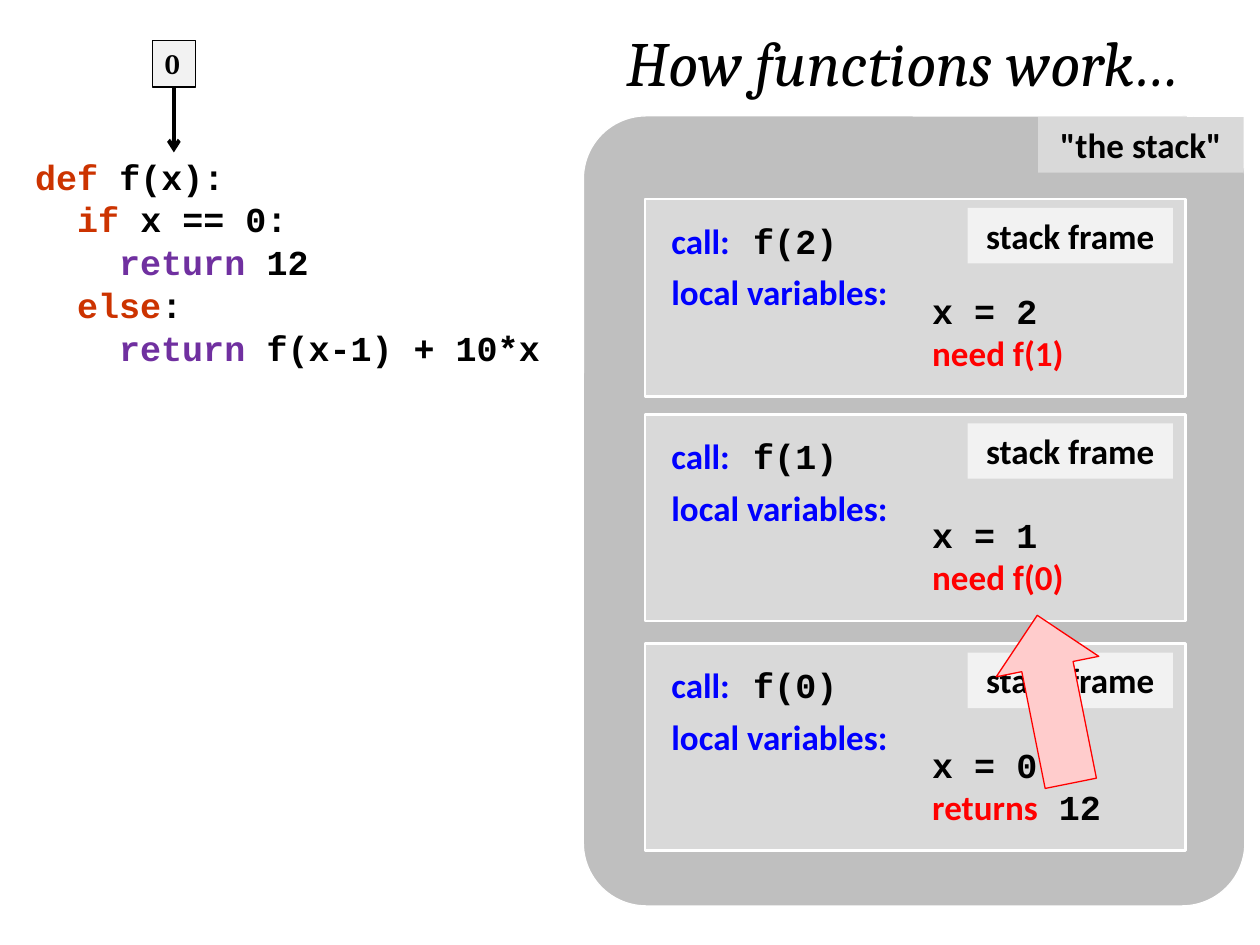
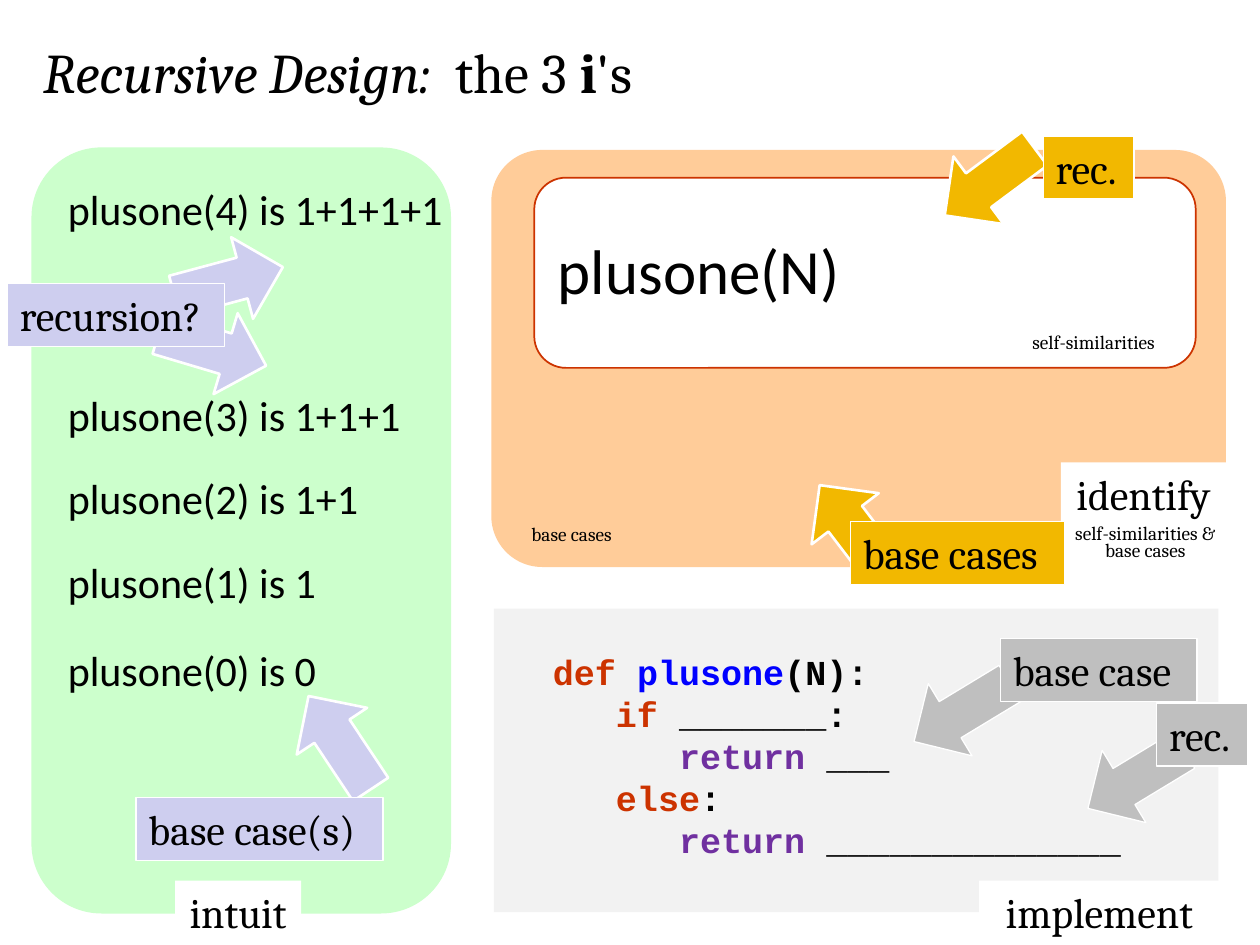
from lxml.etree import SubElement
from pptx import Presentation
from pptx.dml.color import RGBColor
from pptx.enum.shapes import MSO_CONNECTOR, MSO_SHAPE
from pptx.enum.text import MSO_ANCHOR, PP_ALIGN
from pptx.oxml.ns import qn
from pptx.util import Inches, Pt

BLACK, WHITE, BLUE, RED = "000000", "FFFFFF", "0000FF", "FF0000"
KEYWORD, RETURN = "CC3300", "7030A0"
PALE, LIGHT, GREY = "F2F2F2", "D9D9D9", "BFBFBF"
GREEN, LILAC, PEACH, GOLD, PINK = "CCFFCC", "CECEEF", "FFCC99", "F2B800", "FFCCCC"

TITLE = {"name": "Cambria", "size": Pt(36), "italic": True}
DESIGN = {**TITLE, "size": Pt(32)}
CODE = {"name": "Courier New", "size": Pt(20), "bold": True}
TAG = {"name": "Calibri", "size": Pt(20), "bold": True}
LABEL = {"name": "Cambria", "size": Pt(24)}
CAPTION = {"name": "Cambria", "size": Pt(11)}
EXAMPLE = {"name": "Calibri", "size": Pt(24)}
CENTER = {"alignment": PP_ALIGN.CENTER}
TIGHT = {"line_spacing": Pt(10)}


def rgb(value):
    return RGBColor.from_string(value)


def inches(box):
    return [Inches(v) for v in box]


def write(sp, lines, fmt, **para):
    """Fill a shape; a line is a string or a list of (text, colour[, changes])."""
    tf = sp.text_frame
    tf.word_wrap = True
    tf.vertical_anchor = MSO_ANCHOR.TOP
    for i, line in enumerate(lines):
        p = tf.paragraphs[0] if i == 0 else tf.add_paragraph()
        p.alignment = PP_ALIGN.LEFT
        for key, value in para.items():
            if i or key != "space_before":
                setattr(p, key, value)
        for text, color, *changes in [(line, BLACK)] if isinstance(line, str) else line:
            r = p.add_run()
            r.text = text
            for key, value in {**fmt, **(changes[0] if changes else {})}.items():
                setattr(r.font, key, value)
            r.font.color.rgb = rgb(color)


def add_text(s, box, lines, fmt, **para):
    sp = s.shapes.add_textbox(*inches(box))
    write(sp, lines, fmt, **para)
    return sp


def add_panel(s, box, fill, line=None, width=0.75, kind=MSO_SHAPE.RECTANGLE, adj=None):
    sp = s.shapes.add_shape(kind, *inches(box))
    sp.shadow.inherit = False
    sp.fill.solid()
    sp.fill.fore_color.rgb = rgb(fill)
    if line:
        sp.line.color.rgb = rgb(line)
        sp.line.width = Pt(width)
    else:
        sp.line.fill.background()
    if adj is not None:
        sp.adjustments[0] = adj
    return sp


def add_rounded(s, box, fill, line=None, width=0.75, adj=None):
    return add_panel(s, box, fill, line, width, MSO_SHAPE.ROUNDED_RECTANGLE, adj)


def add_label(s, box, fill, text, fmt, line=None, **para):
    sp = add_panel(s, box, fill, line)
    write(sp, [text], fmt, **para)
    return sp


def add_block_arrow(s, box, angle, fill, line=WHITE, width=1.5):
    add_panel(s, box, fill, line, width, MSO_SHAPE.DOWN_ARROW).rotation = angle


def add_arrow_below(s, sp, end_y):
    """Draw an arrow straight down from the bottom of a shape."""
    x = sp.left + sp.width // 2
    c = s.shapes.add_connector(MSO_CONNECTOR.STRAIGHT, x, sp.top + sp.height, x, Inches(end_y))
    c.begin_connect(sp, 2)
    c.line.color.rgb = rgb(BLACK)
    c.line.width = Pt(2.25)
    SubElement(c.line._get_or_add_ln(), qn("a:tailEnd"), type="arrow")
    SubElement(c._element.spPr, qn("a:effectLst"))


def set_tab(sp, position):
    pPr = sp.text_frame.paragraphs[0]._p.get_or_add_pPr()
    tabs = SubElement(pPr, qn("a:tabLst"))
    SubElement(tabs, qn("a:tab"), pos=str(Inches(position)), algn="l")


def add_stack_frame(s, top, height, n, outcome):
    add_panel(s, (5.12, top, 4.29, height), LIGHT, WHITE, 1.5)
    add_label(s, (7.68, top + 0.07, 1.63, 0.44), PALE, "stack frame", TAG, **CENTER)
    add_text(s, (7.3, top + height - 0.9, 2.11, 0.77),
             [[(f"x = {n}", BLACK, CODE)], outcome], TAG)
    call = add_text(s, (5.23, top + 0.11, 2.4, 0.44),
                    [[("call:\t", BLUE), (f"f({n})", BLACK, CODE)]], TAG)
    set_tab(call, 0.65)
    add_text(s, (5.23, top + 0.52, 2.18, 0.44), [[("local variables:", BLUE)]], TAG)


def build_stack_slide(s):
    add_rounded(s, (4.63, 0.92, 5.25, 6.27), GREY, WHITE, adj=0.095)
    add_text(s, (4.87, 0.14, 4.75, 0.71), ["How functions work…"], TITLE)
    add_label(s, (8.24, 0.93, 1.63, 0.44), LIGHT, '"the stack"', TAG, **CENTER)
    add_text(s, (0.18, 1.3, 5.15, 1.78), [
        [("def ", KEYWORD), ("f(x):", BLACK)],
        [("  if", KEYWORD), (" x == 0:", BLACK)],
        [("    return", RETURN), (" 12", BLACK)],
        [("  else", KEYWORD), (":", BLACK)],
        [("    return", RETURN), (" f(x-1) + 10*x", BLACK)],
    ], CODE, line_spacing=0.6, space_before=Pt(10))
    for top, height, n, outcome in [
        (1.58, 1.57, 2, [("need f(1)", RED)]),
        (3.29, 1.64, 1, [("need f(0)", RED)]),
        (5.11, 1.64, 0, [("returns", RED), (" 12", BLACK, CODE)]),
    ]:
        add_stack_frame(s, top, height, n, outcome)
    add_block_arrow(s, (7.95, 4.87, 0.83, 1.36), 168.7, PINK, RED, 0.75)
    argument = add_label(s, (1.21, 0.32, 0.34, 0.37), PALE, "0",
                         {"name": "Cambria", "size": Pt(16), "bold": True}, BLACK)
    add_arrow_below(s, argument, 1.21)


def build_design_slide(s):
    upright = {"italic": False}
    add_text(s, (0.25, 0.25, 5.25, 0.64), [[
        ("Recursive Design:  ", BLACK), ("the 3 ", BLACK, upright),
        ("i", BLACK, {**upright, "bold": True}), ("'s", BLACK, upright)]], DESIGN)

    add_rounded(s, (0.25, 1.17, 3.33, 6.08), GREEN)
    for top, example in [(1.41, "plusone(4) is 1+1+1+1"), (3.04, "plusone(3) is 1+1+1"),
                         (3.7, "plusone(2) is 1+1"), (4.37, "plusone(1) is 1"),
                         (5.07, "plusone(0) is 0")]:
        add_text(s, (0.44, top, 3.3, 0.5), [example], EXAMPLE)

    add_rounded(s, (3.9, 1.19, 5.83, 3.31), PEACH, adj=0.122)
    add_rounded(s, (4.24, 1.41, 5.25, 1.51), WHITE, KEYWORD, 1)
    add_text(s, (4.33, 1.79, 4.74, 0.71), ["plusone(N)"], {**EXAMPLE, "size": Pt(36)})

    add_panel(s, (3.92, 4.83, 5.75, 2.41), PALE)
    add_text(s, (4.29, 5.11, 5.23, 1.78), [
        [("def ", KEYWORD), ("plusone", BLUE), ("(N):", BLACK)],
        [("   if", KEYWORD), (" _______:", BLACK)],
        [("      return", RETURN), (" ___", BLACK)],
        [("   else", KEYWORD), (":", BLACK)],
        [("      return", RETURN), (" ______________", BLACK)],
    ], CODE)

    for box, step in [((1.39, 6.99, 1, 0.5), "intuit"), ((8.42, 3.67, 1.31, 0.5), "identify"),
                      ((7.77, 6.99, 1.91, 0.5), "implement")]:
        add_label(s, box, WHITE, step, LABEL, **CENTER)
    add_label(s, (8.42, 4.13, 1.34, 0.38), WHITE, "self-similarities & base cases",
              CAPTION, **CENTER, **TIGHT)
    add_label(s, (8.01, 2.62, 1.34, 0.24), WHITE, "self-similarities", CAPTION, **CENTER, **TIGHT)
    add_label(s, (4.12, 4.14, 1.34, 0.24), PEACH, "base cases", CAPTION, **TIGHT)

    for left, top, angle, fill, width in [
        (7.3, 5.21, 58.8, GREY, 0.75), (8.68, 5.74, 58.8, GREY, 0.75),
        (7.52, 1, 53.4, GOLD, 1.5), (6.44, 3.76, 142.7, GOLD, 1.5),
        (1.48, 1.79, 255, LILAC, 1.5), (1.35, 2.33, 286.6, LILAC, 1.5),
        (2.36, 5.45, 146.4, LILAC, 1.5),
    ]:
        add_block_arrow(s, (left, top, 0.67, 0.89), angle, fill, width=width)
    for left, top, width, fill, hint in [
        (7.94, 5.07, 1.56, GREY, "base case"), (9.18, 5.58, 0.72, GREY, "rec."),
        (8.28, 1.08, 0.72, GOLD, "rec."), (6.75, 4.14, 1.7, GOLD, "base cases"),
        (0.06, 2.25, 1.72, LILAC, "recursion?"), (1.08, 6.33, 1.96, LILAC, "base case(s)"),
    ]:
        add_label(s, (left, top, width, 0.5), fill, hint, LABEL, WHITE)


def main():
    prs = Presentation()
    prs.slide_width, prs.slide_height = Inches(10), Inches(7.5)
    for build in (build_stack_slide, build_design_slide):
        build(prs.slides.add_slide(prs.slide_layouts[6]))
    prs.save("out.pptx")


if __name__ == "__main__":
    main()
